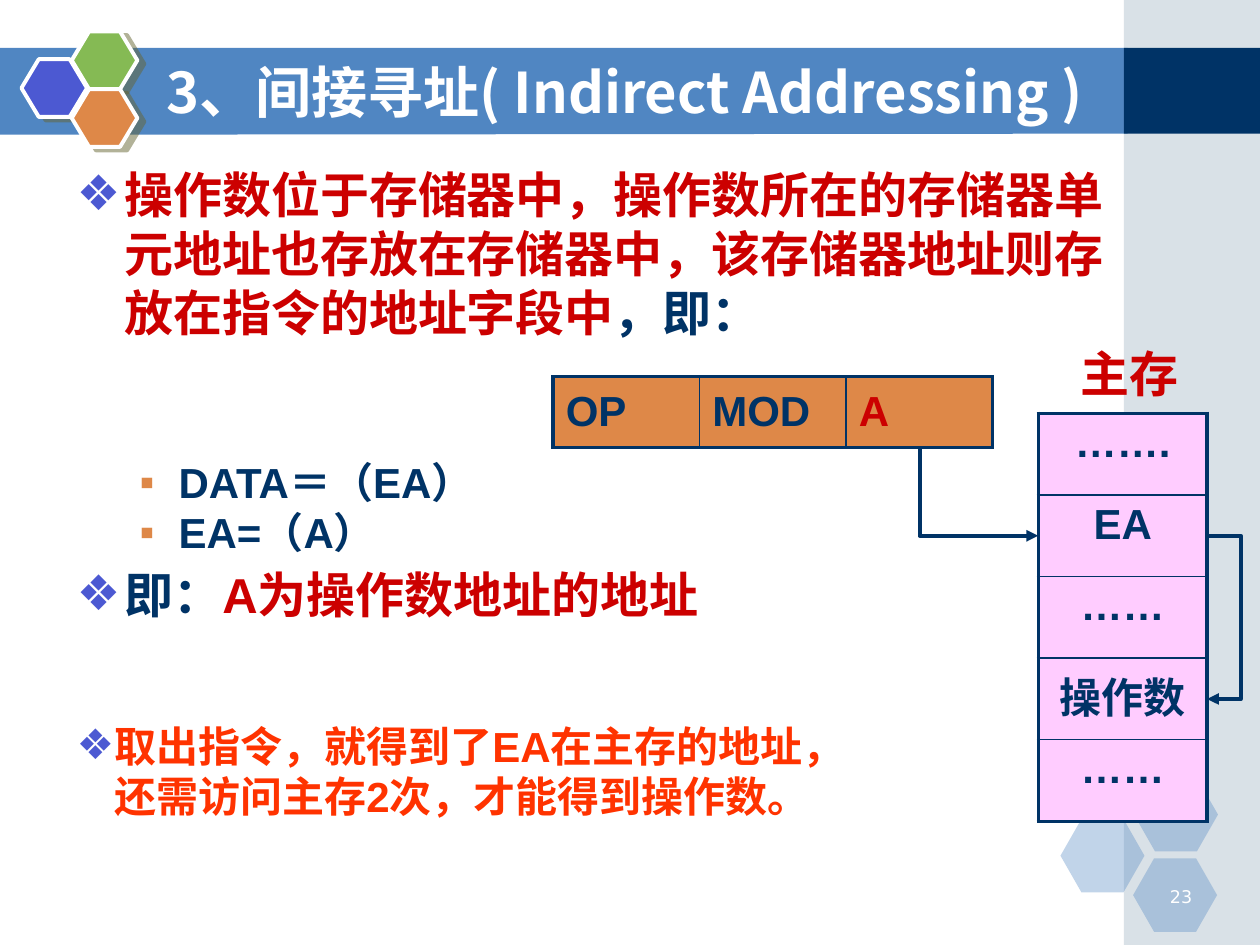
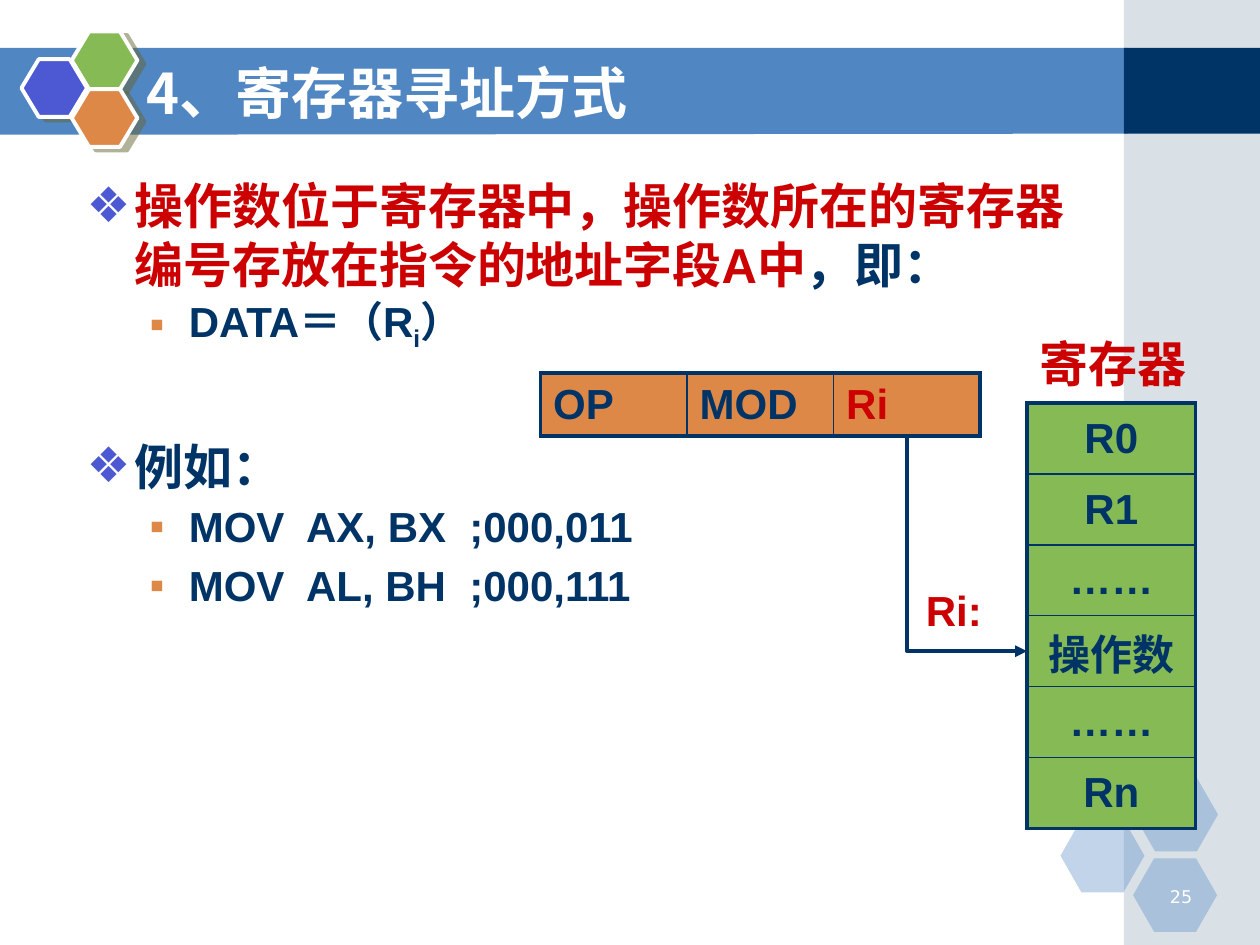
from lxml.etree import SubElement
from pptx import Presentation
from pptx.dml.color import RGBColor
from pptx.enum.shapes import MSO_CONNECTOR as Connector, MSO_SHAPE as Shape
from pptx.enum.text import MSO_ANCHOR as Anchor, MSO_AUTO_SIZE as AutoSize, PP_ALIGN as Align
from pptx.oxml.ns import qn
from pptx.util import Pt

COLORS = {
    "white": "FFFFFF", "band": "5086C2", "navy": "003366", "side": "A0B5C4",
    "blue": "4C59D2", "green": "85BA54", "orange": "DE8848", "shadow": "666633",
    "red": "CC0000", "scarlet": "FF3300", "pink": "FFCCFF",
}
LATIN, CJK = "Arial", "Noto Sans CJK SC"
LINE_RATIO = 1.2
THICK, THIN = 2.25, 1
BULLETS = [("❖", "blue"), ("▪", "orange")]
INDENTS = [(27.36, 27.36), (58.32, 22.32)]
SIZES = [28, 24]


def rgb(name):
    return RGBColor.from_string(COLORS[name])


def add_solid(parent, color, alpha=None):
    element = SubElement(SubElement(parent, qn("a:solidFill")), qn("a:srgbClr"), val=COLORS[color])
    if alpha is not None:
        SubElement(element, qn("a:alpha"), val=str(alpha * 1000))
    return element


def paint(shape, color, alpha=None):
    shape.shadow.inherit = False
    shape.fill.solid()
    shape.fill.fore_color.rgb = rgb(color)
    shape.line.fill.background()
    if alpha is not None:
        color_element = shape.element.spPr.find(qn("a:solidFill"))[0]
        SubElement(color_element, qn("a:alpha"), val=str(alpha * 1000))


def style_run(run, size, color, bold=True, face=LATIN, baseline=0):
    run.font.size = Pt(size)
    run.font.bold = bold
    run.font.color.rgb = rgb(color)
    run.font.name = face
    properties = run._r.get_or_add_rPr()
    SubElement(properties, qn("a:ea"), typeface=CJK)
    if baseline:
        properties.set("baseline", str(baseline * 1000))


def add_bullet(paragraph, level, margin, hanging):
    character, color = BULLETS[level]
    properties = paragraph._p.get_or_add_pPr()
    properties.set("marL", str(Pt(margin)))
    properties.set("indent", str(-Pt(hanging)))
    SubElement(SubElement(properties, qn("a:buClr")), qn("a:srgbClr"), val=COLORS[color])
    SubElement(properties, qn("a:buFont"), typeface=LATIN)
    SubElement(properties, qn("a:buChar"), char=character)


def add_text_frame(slide, box):
    text_frame = slide.shapes.add_textbox(*map(Pt, box)).text_frame
    text_frame.word_wrap = True
    return text_frame


def add_label(slide, box, text, size, color, bullet=False):
    text_frame = add_text_frame(slide, box)
    text_frame.text = text
    paragraph = text_frame.paragraphs[0]
    if bullet:
        add_bullet(paragraph, 0, 21.6, 21.6)
    paragraph.line_spacing = Pt(size * LINE_RATIO)
    style_run(paragraph.runs[0], size, color)


def add_body(slide, box, items):
    text_frame = add_text_frame(slide, box)
    for index, (level, space_before, pieces) in enumerate(items):
        paragraph = text_frame.add_paragraph() if index else text_frame.paragraphs[0]
        add_bullet(paragraph, level, *INDENTS[level])
        paragraph.line_spacing = Pt(SIZES[level] * LINE_RATIO)
        paragraph.space_before = Pt(space_before)
        for text, color, *baseline in pieces:
            run = paragraph.add_run()
            run.text = text
            style_run(run, SIZES[level], color, baseline=sum(baseline))


def add_hexagon(slide, left, top, width, height, adjustment):
    shape = slide.shapes.add_shape(Shape.HEXAGON, Pt(left), Pt(top), Pt(width), Pt(height))
    shape.adjustments[0] = adjustment
    return shape


def draw_background(slide):
    builder = slide.shapes.build_freeform(Pt(-0.72), Pt(27.36))
    builder.add_line_segments([(Pt(x), Pt(y)) for x, y in [(644.4, 27.36), (644.4, 76.4), (-0.72, 77)]])
    paint(builder.convert_to_shape(), "band")
    for top, height, color, alpha in [(0, 540, "side", 40), (27.36, 49.1, "navy", None)]:
        panel = slide.shapes.add_shape(Shape.RECTANGLE, Pt(642.24), Pt(top), Pt(77.76), Pt(height))
        paint(panel, color, alpha)
    for left, top in [(606, 468), (648, 444.5), (647.5, 490.5)]:
        paint(add_hexagon(slide, left, top, 48, 42, 0.286), "band", 35)
    for left, top, color in [(12.24, 33.84, "blue"), (41, 18, "green"), (41, 51, "orange")]:
        hexagon = add_hexagon(slide, left, top, 37.5, 33, 0.3)
        paint(hexagon, color)
        hexagon.line.color.rgb = rgb("white")
        hexagon.line.width = Pt(THICK)
        effects = hexagon.element.spPr.find(qn("a:effectLst"))
        shadow = SubElement(effects, qn("a:outerShdw"), blurRad="0", dist=str(Pt(4.5)),
                            dir=str(27 * 60000), algn="ctr", rotWithShape="0")
        color_element = SubElement(shadow, qn("a:srgbClr"), val=COLORS["shadow"])
        SubElement(color_element, qn("a:alpha"), val="50000")


def share_background(slide):
    title = slide.shapes.title.element
    draw_background(slide)
    layout_tree = slide.slide_layout.shapes.element
    for shape in list(slide.shapes):
        if shape.element is not title:
            layout_tree.append(shape.element)


def add_title(slide, box, text):
    title = slide.shapes.title
    title.left, title.top, title.width, title.height = map(Pt, box)
    text_frame = title.text_frame
    text_frame.text = text
    text_frame.vertical_anchor = Anchor.MIDDLE
    text_frame.word_wrap = True
    text_frame.auto_size = AutoSize.NONE
    paragraph = text_frame.paragraphs[0]
    paragraph.alignment = Align.LEFT
    style_run(paragraph.runs[0], 32, "white", face=CJK)


def add_slide_number(slide, number):
    text_frame = add_text_frame(slide, (652.32, 502.56, 36, 18))
    text_frame.text = str(number)
    paragraph = text_frame.paragraphs[0]
    paragraph.alignment = Align.RIGHT
    style_run(paragraph.runs[0], 10, "white", bold=False, face="DejaVu Sans")


def set_borders(cell, outer_sides):
    properties = cell._tc.get_or_add_tcPr()
    for side in "LRTB":
        width = THICK if side in outer_sides else THIN
        line = SubElement(properties, qn(f"a:ln{side}"), w=str(Pt(width)))
        add_solid(line, "navy")


def add_grid(slide, box, rows, fill, anchor=Anchor.MIDDLE, align=Align.LEFT, accent=None):
    row_count, column_count = len(rows), len(rows[0])
    table = slide.shapes.add_table(row_count, column_count, *map(Pt, box)).table
    table.first_row = table.horz_banding = False
    for row_index, row in enumerate(rows):
        for column_index, text in enumerate(row):
            cell = table.cell(row_index, column_index)
            edges = {"L": column_index == 0, "R": column_index == column_count - 1,
                     "T": row_index == 0, "B": row_index == row_count - 1}
            set_borders(cell, [side for side, outer in edges.items() if outer])
            cell.fill.solid()
            cell.fill.fore_color.rgb = rgb(fill)
            cell.vertical_anchor = anchor
            cell.text = text
            paragraph = cell.text_frame.paragraphs[0]
            paragraph.alignment = align
            style_run(paragraph.runs[0], 24, "red" if text == accent else "navy")


def add_elbow(slide, left, top, right, bottom):
    connector = slide.shapes.add_connector(Connector.ELBOW, Pt(left), Pt(top), Pt(right), Pt(bottom))
    connector.line.color.rgb = rgb("navy")
    connector.line.width = Pt(THICK)
    SubElement(connector.line._get_or_add_ln(), qn("a:tailEnd"), type="triangle")
    SubElement(connector.element.spPr, qn("a:effectLst"))
    return connector


def add_drop_arrow(slide, start_x, start_y, end_x, end_y):
    center_x, center_y = (start_x + end_x) / 2, (start_y + end_y) / 2
    half_width, half_height = (end_y - start_y) / 2, (end_x - start_x) / 2
    connector = add_elbow(slide, center_x - half_width, center_y - half_height,
                          center_x + half_width, center_y + half_height)
    properties = connector.element.spPr
    properties.find(qn("a:prstGeom")).set("prst", "bentConnector2")
    transform = properties.find(qn("a:xfrm"))
    transform.set("rot", str(270 * 60000))
    transform.set("flipH", "1")


def add_return_arrow(slide, x, start_y, end_y, reach):
    width = 0.1
    connector = add_elbow(slide, x, start_y, x + width, end_y)
    guides = connector.element.spPr.find(qn("a:prstGeom")).get_or_add_avLst()
    SubElement(guides, qn("a:gd"), name="adj1", fmla=f"val {round(reach / width * 100000)}")


def add_lookup(slide, instruction_box, fields, store_box, cells, target, fill, anchor):
    left, top, width, height = instruction_box
    add_grid(slide, instruction_box, [fields], "orange", accent=fields[-1])
    add_grid(slide, store_box, [[text] for text in cells], fill, anchor, Align.CENTER)
    row_height = store_box[3] / len(cells)
    add_drop_arrow(slide, left + width * 5 / 6, top + height,
                   store_box[0], store_box[1] + row_height * (target + 0.5))


def build_indirect(slide):
    add_title(slide, (87.84, 29.52, 620, 45.36), "3、间接寻址( Indirect Addressing )")
    add_slide_number(slide, 23)
    add_body(slide, (36.72, 90.5, 606, 289), [
        (0, 0, [("操作数位于存储器中，操作数所在的存储器单元地址也存放在存储器中，"
                 "该存储器地址则存放在指令的地址字段中", "red"), ("，即：", "navy")]),
        (1, 66, [("DATA＝（EA）", "navy")]),
        (1, 0, [("EA=（A）", "navy")]),
        (0, 4, [("即：", "navy"), ("A为操作数地址的地址", "red")]),
    ])
    store_left, store_top, store_width, store_height = store_box = (593.28, 236.16, 96.48, 233.28)
    cells = ["…….", "EA", "……", "操作数", "……"]
    add_lookup(slide, (316.08, 215.28, 251.28, 40.32), ["OP", "MOD", "A"],
               store_box, cells, 1, "pink", Anchor.TOP)
    start_y, end_y = [store_top + store_height / len(cells) * (row + 0.5) for row in (1, 3)]
    add_return_arrow(slide, store_left + store_width, start_y, end_y, 17)
    add_label(slide, (610.56, 192.8, 79.2, 41), "主存", 28, "red")
    add_label(slide, (36.72, 408, 459.36, 65), "取出指令，就得到了EA在主存的地址，还需访问主存2次，才能得到操作数。",
              24, "scarlet", bullet=True)


def build_register(slide):
    add_title(slide, (76.32, 30.24, 617.76, 44.64), "4、寄存器寻址方式")
    add_slide_number(slide, 25)
    add_body(slide, (42.48, 97, 595, 317), [
        (0, 0, [("操作数位于寄存器中，操作数所在的寄存器编号存放在指令的地址字段A中", "red"), ("，即：", "navy")]),
        (1, 5, [("DATA＝（R", "navy"), ("i", "navy", -25), ("）", "navy")]),
        (0, 48, [("例如：", "navy")]),
        (1, 3, [("MOV  AX, BX  ;000,011", "navy")]),
        (1, 5, [("MOV  AL, BH  ;000,111", "navy")]),
    ])
    add_lookup(slide, (308.88, 213.12, 251.28, 36), ["OP", "MOD", "Ri"],
               (586.8, 230.4, 96.48, 243), ["R0", "R1", "……", "操作数", "……", "Rn"],
               3, "green", Anchor.MIDDLE)
    add_label(slide, (522, 330.48, 68.4, 36), "Ri:", 24, "red")
    add_label(slide, (586.8, 187, 109.44, 41), "寄存器", 28, "red")


def main():
    presentation = Presentation()
    presentation.slide_width, presentation.slide_height = Pt(720), Pt(540)
    layout = presentation.slide_layouts[5]
    indirect_slide, register_slide = [presentation.slides.add_slide(layout) for _ in range(2)]
    share_background(indirect_slide)
    build_indirect(indirect_slide)
    build_register(register_slide)
    presentation.save("out.pptx")


if __name__ == "__main__":
    main()
